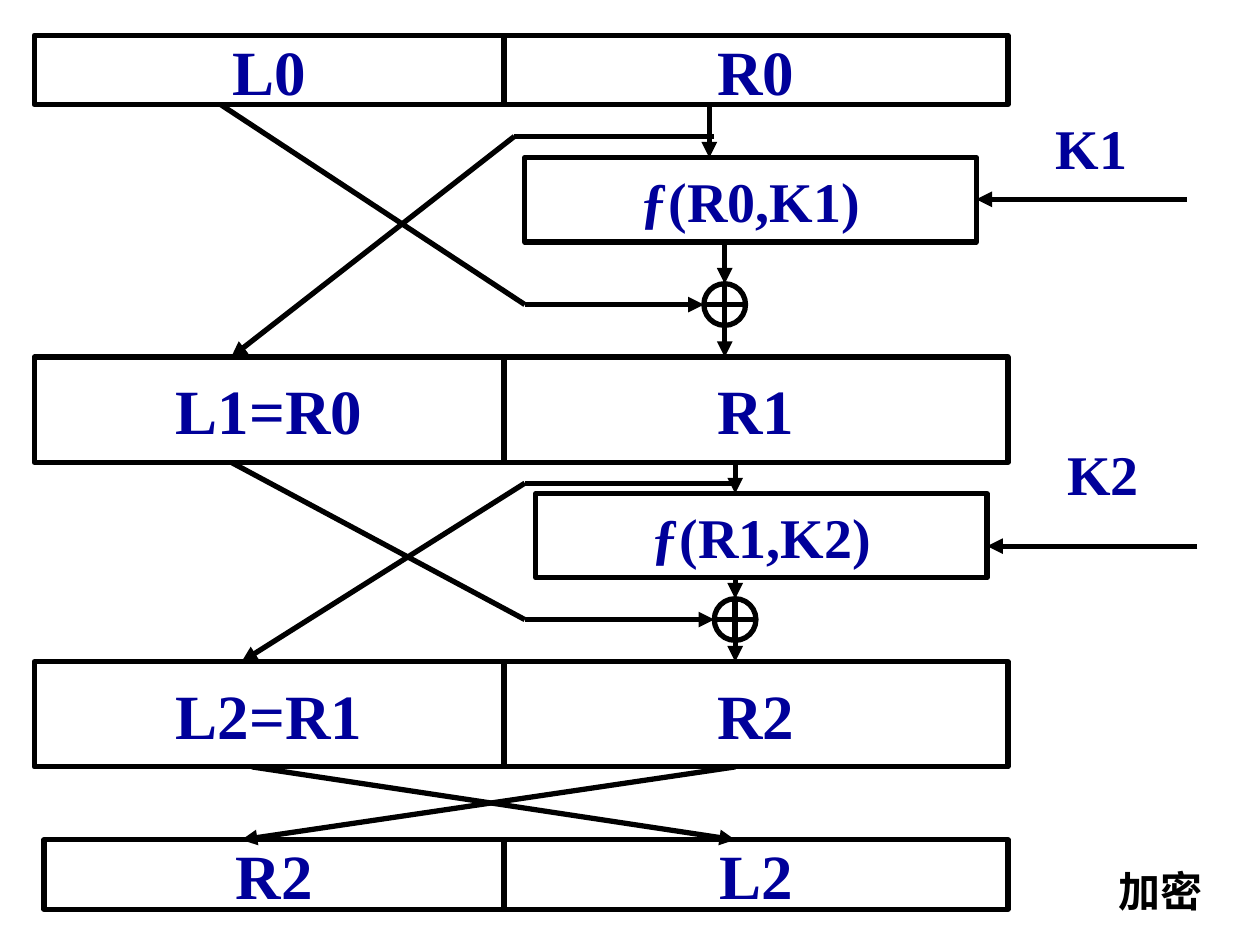
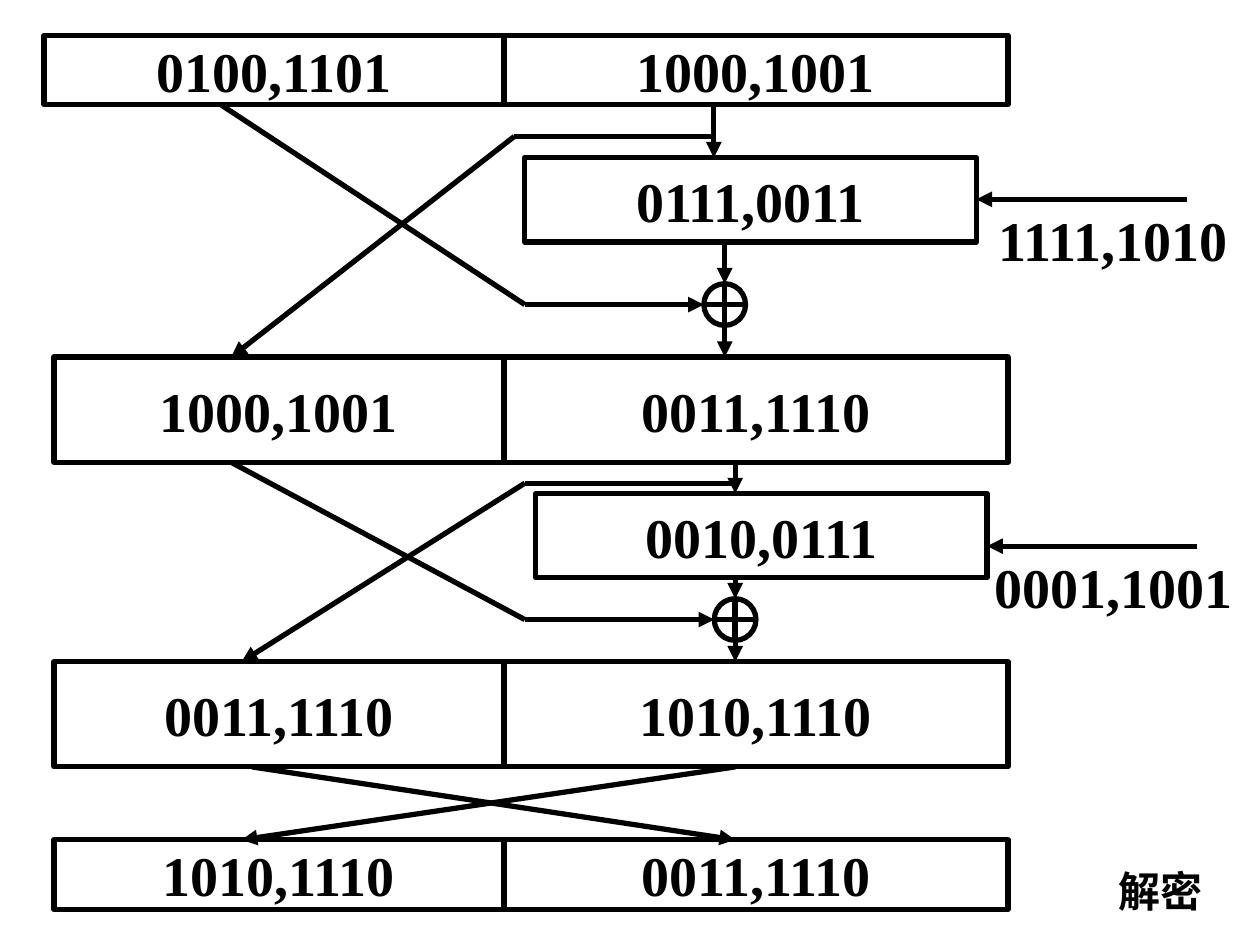
from collections import namedtuple

from lxml import etree
from pptx import Presentation
from pptx.dml.color import RGBColor
from pptx.enum import shapes, text
from pptx.oxml.ns import qn
from pptx.util import Cm, Pt

BLACK = RGBColor(0, 0, 0)
WHITE = RGBColor(255, 255, 255)
NAVY = RGBColor(0x00, 0x00, 0x9A)
SERIF, MONO = "Times New Roman", "Noto Sans Mono"

# All lengths are in centimetres. A key label is (text, left, top, width).
SLIDES = [
    dict(
        caption="加密", color=NAVY, half_size=36,
        halves=[("L0", "R0"), ("L1=R0", "R1"), ("L2=R1", "R2"), ("R2", "L2")],
        row_lefts=[0.69, 0.69, 0.69, 0.89],
        functions=["ƒ(R0,K1)", "ƒ(R1,K2)"],
        keys=[("K1", 21.03, 2.16, 1.96), ("K2", 21.26, 8.74, 1.96)],
        input_xs=[14.3, 14.82],
    ),
    dict(
        caption="解密", color=BLACK, half_size=32,
        halves=[("0100,1101", "1000,1001"), ("1000,1001", "0011,1110"),
                ("0011,1110", "1010,1110"), ("1010,1110", "0011,1110")],
        row_lefts=[0.89, 1.09, 1.09, 1.09],
        functions=["0111,0011", "0010,0111"],
        keys=[("1111,1010", 19.79, 4.02, 5.31), ("0001,1001", 19.79, 11.01, 5.31)],
        input_xs=[14.39, 14.82],
    ),
]

ROWS = [(0.71, 1.4), (7.2, 2.12), (13.34, 2.12), (16.93, 1.4)]  # top, height
MIDDLE, RIGHT = 10.16, 20.32
FUNCTION_W, FUNCTION_H = 9.1, 1.7
XOR_RADIUS = 0.42
XOR_BEND_X = 10.58
KEY_ARROW = 4.24

Round = namedtuple("Round", "axis function_left function_top branch_y branch_bend "
                            "branch_end xor_y left_out left_in key_y")
ROUNDS = [
    Round(14.61, 10.58, 3.18, 2.75, 10.37, 14.39, 6.14, 4.45, 4.66, 4.02),
    Round(14.82, 10.8, 9.95, 9.74, 10.58, 14.82, 12.49, 4.66, 4.87, 11.01),
]


def write(sp, words, size, color, font=SERIF, align=text.PP_ALIGN.CENTER, wrap=False):
    tf = sp.text_frame
    tf.word_wrap = wrap
    p = tf.paragraphs[0]
    p.text = words
    p.alignment = align
    p.font.name, p.font.size, p.font.bold = font, Pt(size), True
    p.font.color.rgb = color
    return tf


def outlined(slide, kind, left, top, width, height):
    sp = slide.shapes.add_shape(kind, Cm(left), Cm(top), Cm(width), Cm(height))
    sp.shadow.inherit = False
    sp.fill.solid()
    sp.fill.fore_color.rgb = WHITE
    sp.line.color.rgb = BLACK
    sp.line.width = Pt(3)
    return sp


def box(slide, words, size, color, *place):
    sp = outlined(slide, shapes.MSO_SHAPE.RECTANGLE, *place)
    write(sp, words, size, color).vertical_anchor = text.MSO_ANCHOR.MIDDLE


def label(slide, words, size, color, left, top, width, height, **style):
    sp = slide.shapes.add_textbox(Cm(left), Cm(top), Cm(width), Cm(height))
    tf = write(sp, words, size, color, **style)
    tf.auto_size = text.MSO_AUTO_SIZE.SHAPE_TO_FIT_TEXT


def line(slide, x1, y1, x2, y2, arrow=True):
    c = slide.shapes.add_connector(shapes.MSO_CONNECTOR.STRAIGHT,
                                   Cm(x1), Cm(y1), Cm(x2), Cm(y2))
    c.line.color.rgb = BLACK
    c.line.width = Pt(3)
    if arrow:
        etree.SubElement(c.line._get_or_add_ln(), qn("a:tailEnd"), type="triangle")
    etree.SubElement(c._element.spPr, qn("a:effectLst"))


def draw_round(slide, rnd, input_x, start_y, end_y, words, color):
    """Draw one Feistel round between the rows ending at start_y and starting at end_y."""
    function_bottom = rnd.function_top + FUNCTION_H
    function_right = rnd.function_left + FUNCTION_W
    xor_top, xor_bottom = rnd.xor_y - XOR_RADIUS, rnd.xor_y + XOR_RADIUS
    xor_left = rnd.axis - XOR_RADIUS

    box(slide, words, 32, color, rnd.function_left, rnd.function_top, FUNCTION_W, FUNCTION_H)
    outlined(slide, shapes.MSO_SHAPE.FLOWCHART_OR, xor_left, xor_top,
             2 * XOR_RADIUS, 2 * XOR_RADIUS)

    line(slide, input_x, start_y, input_x, rnd.function_top)
    line(slide, rnd.axis, function_bottom, rnd.axis, xor_top)
    line(slide, rnd.axis, xor_bottom, rnd.axis, end_y)
    # Right half becomes the next left half
    line(slide, rnd.branch_bend, rnd.branch_y, rnd.branch_end, rnd.branch_y, arrow=False)
    line(slide, rnd.branch_bend, rnd.branch_y, rnd.left_in, end_y)
    # Left half goes to the XOR
    line(slide, XOR_BEND_X, rnd.xor_y, rnd.left_out, start_y, arrow=False)
    line(slide, XOR_BEND_X, rnd.xor_y, xor_left, rnd.xor_y)
    line(slide, function_right + KEY_ARROW, rnd.key_y, function_right, rnd.key_y)


def draw_cipher(slide, data):
    color = data["color"]
    for (top, height), left, (lhs, rhs) in zip(ROWS, data["row_lefts"], data["halves"]):
        box(slide, lhs, data["half_size"], color, left, top, MIDDLE - left, height)
        box(slide, rhs, data["half_size"], color, MIDDLE, top, RIGHT - MIDDLE, height)

    bottoms = [top + height for top, height in ROWS]
    for i, rnd in enumerate(ROUNDS):
        draw_round(slide, rnd, data["input_xs"][i], bottoms[i], ROWS[i + 1][0],
                   data["functions"][i], color)
    # Final swap of the halves
    line(slide, 14.82, bottoms[2], 4.87, ROWS[3][0])
    line(slide, 5.08, bottoms[2], 14.82, ROWS[3][0])

    for words, left, top, width in data["keys"]:
        label(slide, words, 32, color, left, top, width, 1.62)
    label(slide, data["caption"], 24, BLACK, 22.3, 17.32, 2.6, 1.06,
          font=MONO, align=text.PP_ALIGN.LEFT, wrap=True)


def main():
    prs = Presentation()
    prs.slide_width, prs.slide_height = Cm(25.4), Cm(19.05)
    for data in SLIDES:
        draw_cipher(prs.slides.add_slide(prs.slide_layouts[6]), data)
    prs.save("out.pptx")


if __name__ == "__main__":
    main()
